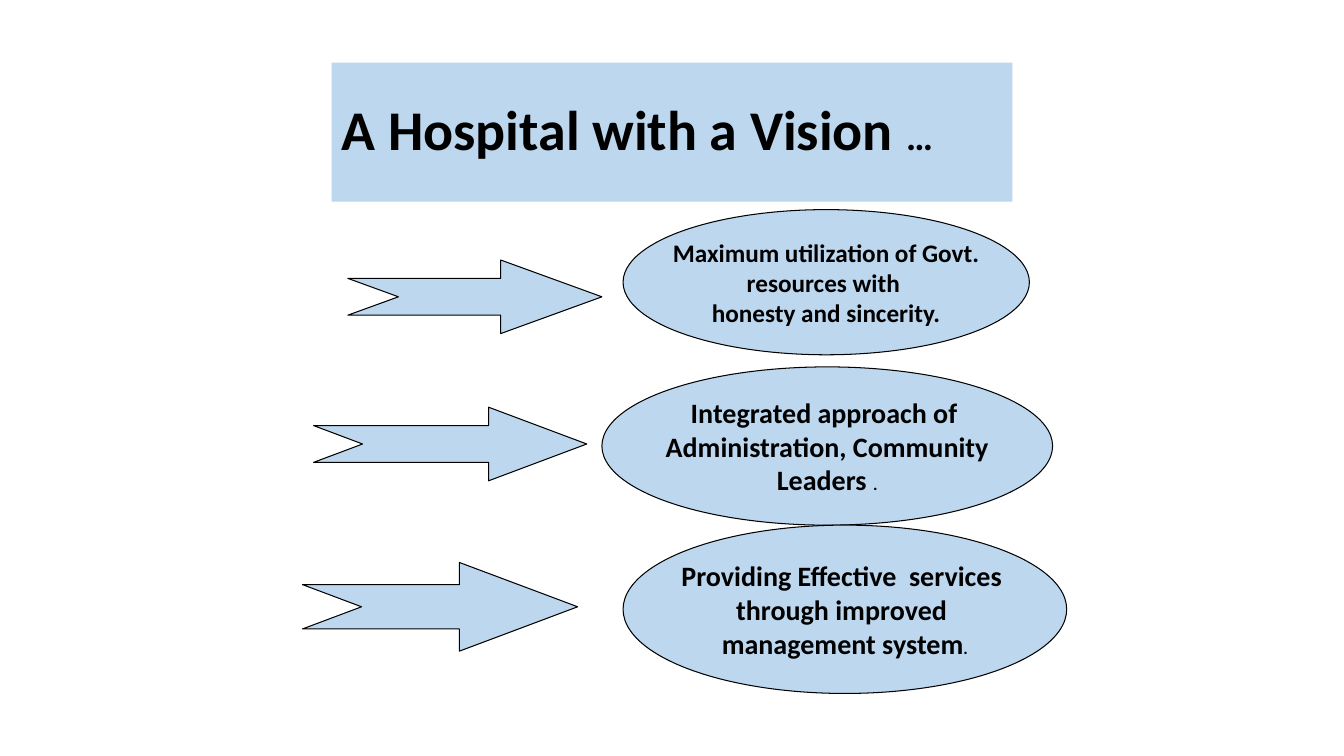
"""Build the hospital vision slide: a title and three goals, each led by an arrow."""
from dataclasses import dataclass

import pptx
import pptx.dml.color
import pptx.enum.shapes
import pptx.enum.text
import pptx.util

EMU_PER_PX = 9144
SHAPE = pptx.enum.shapes.MSO_SHAPE
ALIGN = pptx.enum.text.PP_ALIGN


@dataclass(frozen=True)
class Theme:
    font: str = "Calibri"
    fill: str = "BDD7EE"
    ink: str = "000000"
    outline: float = 0.75
    title: int = 40
    ellipsis: int = 27
    goal: int = 20
    small_goal: int = 18
    full_stop: int = 12


@dataclass(frozen=True)
class Box:
    left: int
    top: int
    width: int
    height: int


@dataclass(frozen=True)
class Goal:
    lines: tuple[str, ...]
    size: int
    oval: Box
    arrow: Box
    head: float
    ending: str = ""


THEME = Theme()
TITLE_BOX = Box(329, 62, 675, 138)
GOALS = (
    Goal(("Maximum utilization of Govt.", "resources with ", "honesty and sincerity."),
         THEME.small_goal, Box(618, 208, 403, 144), Box(345, 258, 252, 73), 1.375),
    Goal(("Integrated approach of ", "Administration, Community", "Leaders "),
         THEME.goal, Box(597, 364, 447, 157), Box(311, 404, 271, 73), 1.333, "."),
    Goal(("Providing Effective  services ", "through improved ", "management system"),
         THEME.goal, Box(618, 521, 440, 167), Box(300, 558, 273, 88), 1.333, "."),
)


def px(length: int) -> pptx.util.Emu:
    """Turn px into EMU."""
    return pptx.util.Emu(length * EMU_PER_PX)


def colour(value: str) -> pptx.dml.color.RGBColor:
    """Turn a hex value into a colour."""
    return pptx.dml.color.RGBColor.from_string(value)


def add_shape(slide, kind, box: Box, outlined: bool = True):
    """Draw a filled preset shape."""
    shape = slide.shapes.add_shape(
        kind, px(box.left), px(box.top), px(box.width), px(box.height))
    shape.shadow.inherit = False
    shape.fill.solid()
    shape.fill.fore_color.rgb = colour(THEME.fill)
    if outlined:
        shape.line.color.rgb = colour(THEME.ink)
        shape.line.width = pptx.util.Pt(THEME.outline)
    else:
        shape.line.fill.background()
    return shape


def add_run(paragraph, text: str, size: int) -> None:
    """Append a bold run."""
    run = paragraph.add_run()
    run.text = text
    run.font.name = THEME.font
    run.font.size = pptx.util.Pt(size)
    run.font.bold = True
    run.font.color.rgb = colour(THEME.ink)


def write_text(shape, lines: tuple[str, ...], *, size: int, ending: str = "",
               ending_size: int, align=ALIGN.CENTER, wrap: bool = False,
               spacing: float = 1.0) -> None:
    """Write lines as paragraphs and close the last with a smaller mark."""
    frame = shape.text_frame
    frame.word_wrap = wrap
    frame.vertical_anchor = pptx.enum.text.MSO_ANCHOR.MIDDLE
    for index, line in enumerate(lines):
        paragraph = frame.add_paragraph() if index else frame.paragraphs[0]
        paragraph.alignment = align
        paragraph.line_spacing = spacing
        add_run(paragraph, line, size)
    if ending:
        add_run(paragraph, ending, ending_size)


def add_goal(slide, goal: Goal) -> None:
    """Draw a goal's oval and the arrow leading to it."""
    oval = add_shape(slide, SHAPE.OVAL, goal.oval)
    write_text(oval, goal.lines, size=goal.size, ending=goal.ending,
               ending_size=THEME.full_stop)
    arrow = add_shape(slide, SHAPE.NOTCHED_RIGHT_ARROW, goal.arrow)
    arrow.adjustments[0] = 0.5
    arrow.adjustments[1] = goal.head


def main() -> None:
    """Build and save the slide."""
    deck = pptx.Presentation()
    deck.slide_width, deck.slide_height = px(1333), px(750)
    slide = deck.slides.add_slide(deck.slide_layouts[6])
    title = add_shape(slide, SHAPE.RECTANGLE, TITLE_BOX, outlined=False)
    write_text(title, ("A Hospital with a Vision ",), size=THEME.title, ending="…",
               ending_size=THEME.ellipsis, align=ALIGN.LEFT, wrap=True, spacing=0.9)
    for goal in GOALS:
        add_goal(slide, goal)
    deck.save("out.pptx")


if __name__ == "__main__":
    main()
